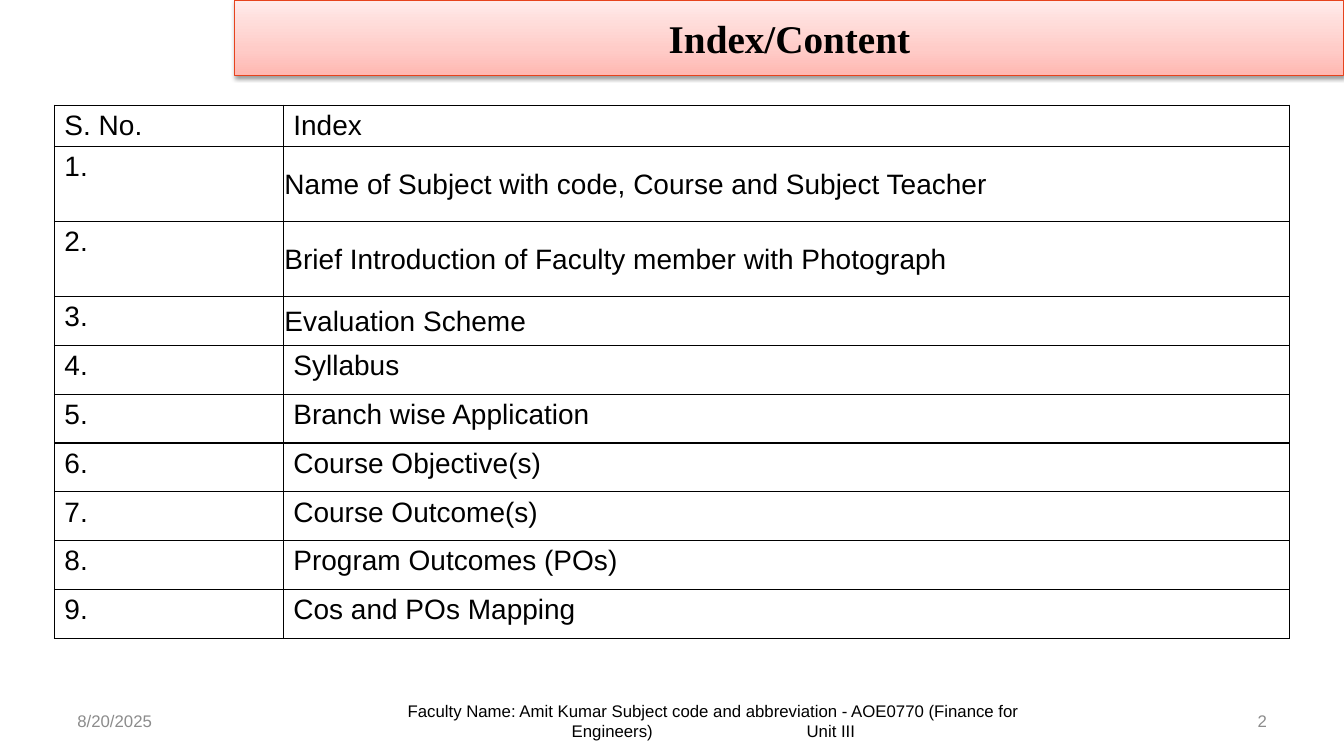
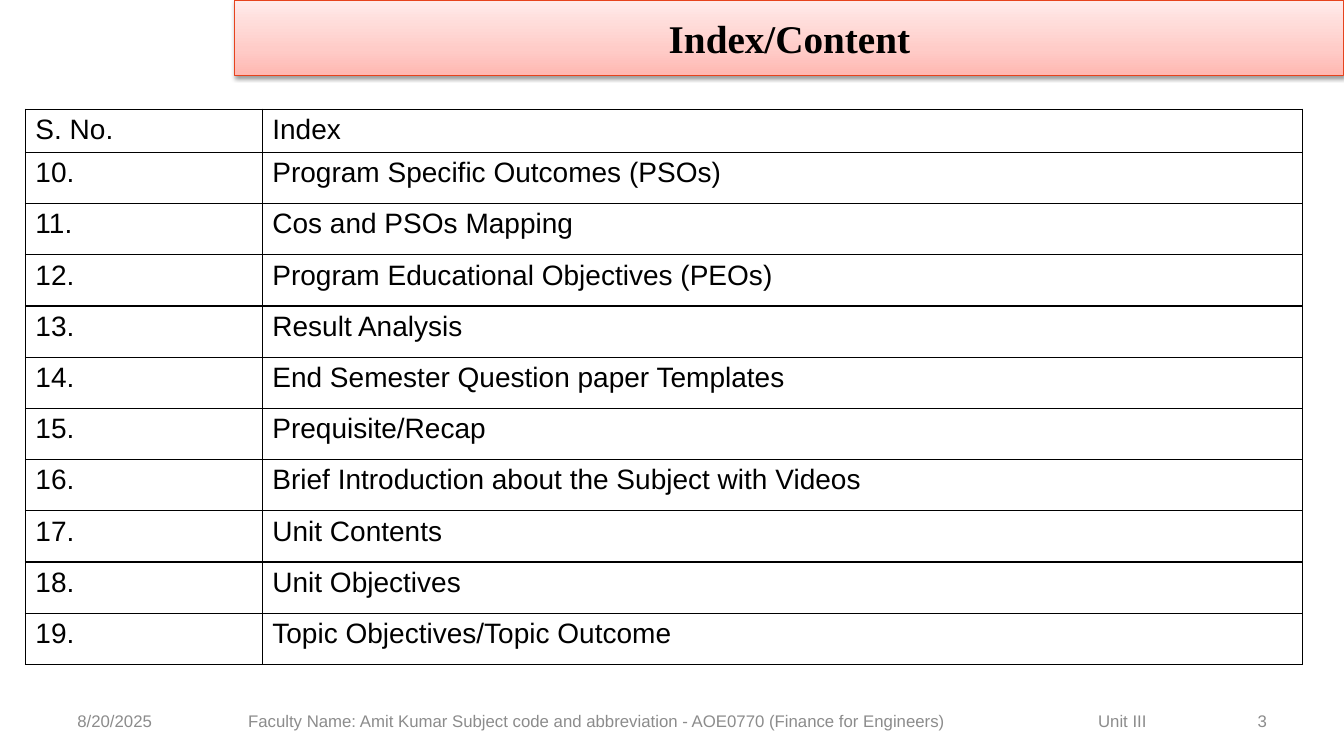
from dataclasses import dataclass

from lxml import etree
from pptx import Presentation
from pptx import util as u
from pptx.dml.color import RGBColor
from pptx.enum import text
from pptx.oxml import parse_xml
from pptx.oxml.ns import nsdecls, qn

Cm, Pt = u.Cm, u.Pt


@dataclass(frozen=True)
class Theme:
    body_font: str = "Arial"
    title_font: str = "Times New Roman"
    title_size: float = 28
    table_size: float = 20
    footer_size: float = 12
    ink: str = "000000"
    muted: str = "8C8C8C"
    band_line: str = "E6431D"
    band_stops: tuple = ((0, "FFB7B1"), (35, "FFCCC8"), (100, "FFEBEA"))


@dataclass(frozen=True)
class Box:
    left: float
    top: float
    width: float
    height: float

    def lengths(self):
        return [Cm(side) for side in (self.left, self.top, self.width, self.height)]


THEME = Theme()
TITLE_BOX = Box(5.92, 0, 27.95, 1.91)
DATE_BOX = Box(1.7, 17.65, 7.9, 1.02)
NUMBER_BOX = Box(24.28, 17.65, 7.9, 1.02)
DATE = "8/20/2025"
COURSE = ("Faculty Name: Amit Kumar Subject code and abbreviation - "
          "AOE0770 (Finance for Engineers)")
UNIT = "Unit III"
HEADER = ("S. No.", "Index")


def style_font(para, size, color, name=THEME.body_font, bold=False):
    para.font.name = name
    para.font.size = Pt(size)
    para.font.bold = bold
    para.font.color.rgb = RGBColor.from_string(color)


def add_title_band(page, box, title):
    band = page.shapes.title
    band.left, band.top, band.width, band.height = box.lengths()
    band.text_frame.text = title
    band.text_frame.vertical_anchor = text.MSO_ANCHOR.MIDDLE
    para = band.text_frame.paragraphs[0]
    para.alignment = text.PP_ALIGN.CENTER
    style_font(para, THEME.title_size, THEME.ink, THEME.title_font, bold=True)

    stops = "".join(
        f'<a:gs pos="{place * 1000}"><a:srgbClr val="{color}"/></a:gs>'
        for place, color in THEME.band_stops)
    gradient = parse_xml(
        f'<a:gradFill {nsdecls("a")} rotWithShape="1"><a:gsLst>{stops}</a:gsLst>'
        '<a:lin ang="16200000" scaled="0"/></a:gradFill>')
    shadow = parse_xml(
        f'<a:effectLst {nsdecls("a")}><a:outerShdw blurRad="{Pt(3.1)}" '
        f'dist="{Pt(1.6)}" dir="5400000" rotWithShape="0"><a:srgbClr val="{THEME.ink}">'
        '<a:alpha val="38000"/></a:srgbClr></a:outerShdw></a:effectLst>')
    band.fill.gradient()
    properties = band.element.spPr
    properties.replace(properties.find(qn("a:gradFill")), gradient)
    band.line.color.rgb = RGBColor.from_string(THEME.band_line)
    band.line.width = Pt(0.75)
    properties.append(shadow)


def add_footer_box(page, box, align):
    """Add an empty footer box and return its paragraph."""
    frame = page.shapes.add_textbox(*box.lengths()).text_frame
    frame.word_wrap = True
    frame.vertical_anchor = text.MSO_ANCHOR.MIDDLE
    para = frame.paragraphs[0]
    para.alignment = align
    return para


def add_footer(page, number, course_box, unit_tab, course_color):
    """Place date, course line and page number; unit_tab is where the unit starts."""
    date = add_footer_box(page, DATE_BOX, text.PP_ALIGN.LEFT)
    date.text = DATE
    style_font(date, THEME.footer_size, THEME.muted)

    course = add_footer_box(page, course_box, text.PP_ALIGN.CENTER)
    course.text = f"{COURSE}\t{UNIT}"
    tabs = etree.SubElement(course._p.get_or_add_pPr(), qn("a:tabLst"))
    etree.SubElement(tabs, qn("a:tab"), pos=str(Cm(unit_tab)), algn="l")
    style_font(course, THEME.footer_size, course_color)

    page_number = add_footer_box(page, NUMBER_BOX, text.PP_ALIGN.RIGHT)
    page_number._p.append(parse_xml(
        f'<a:fld {nsdecls("a")} id="{{B6F15528-21DE-4FAA-801E-634DDDAF4B2B}}" '
        f'type="slidenum"><a:rPr lang="en-US"/><a:t>{number}</a:t></a:fld>'))
    style_font(page_number, THEME.footer_size, THEME.muted)


def set_borders(cell):
    properties = cell._tc.get_or_add_tcPr()
    for position, side in enumerate(("lnL", "lnR", "lnT", "lnB")):
        properties.insert(position, parse_xml(
            f'<a:{side} {nsdecls("a")} w="{Pt(1)}"><a:solidFill>'
            f'<a:srgbClr val="{THEME.ink}"/></a:solidFill></a:{side}>'))


def add_index_table(page, left, top, widths, heights, first, topics, tight_rows=()):
    """Number the topics from first; tight_rows have a centred topic without margins."""
    rows = [HEADER] + [(f"{n}.", topic) for n, topic in enumerate(topics, first)]
    box = Box(left, top, sum(widths), sum(heights))
    table = page.shapes.add_table(len(rows), len(widths), *box.lengths()).table
    table.first_row = table.horz_banding = False
    for column, width in zip(table.columns, widths):
        column.width = Cm(width)
    for r, (row, height) in enumerate(zip(rows, heights)):
        table.rows[r].height = Cm(height)
        for c, words in enumerate(row):
            cell = table.cell(r, c)
            cell.text = words
            cell.fill.background()
            set_borders(cell)
            style_font(cell.text_frame.paragraphs[0], THEME.table_size, THEME.ink)
        if r in tight_rows:
            cell.vertical_anchor = text.MSO_ANCHOR.MIDDLE
            cell.margin_left = cell.margin_right = cell.margin_top = Cm(0.03)
            cell.margin_bottom = 0


def add_index_page(deck, number, table, footer):
    page = deck.slides.add_slide(deck.slide_layouts[5])
    add_title_band(page, TITLE_BOX, "Index/Content")
    add_index_table(page, **table)
    add_footer(page, number, **footer)


def main():
    deck = Presentation()
    deck.slide_width, deck.slide_height = Cm(33.87), Cm(19.05)
    # Page numbers begin at 2.
    deck.element.set("firstSlideNum", "2")

    add_index_page(
        deck, 2,
        table=dict(
            left=1.37, top=2.65, widths=(5.77, 25.35),
            heights=[1.04] + [1.89] * 2 + [1.23] * 7, first=1, tight_rows=(1, 2, 3),
            topics=(
                "Name of Subject with code, Course and Subject Teacher",
                "Brief Introduction of Faculty member with Photograph",
                "Evaluation Scheme",
                "Syllabus",
                "Branch wise Application",
                "Course Objective(s)",
                "Course Outcome(s)",
                "Program Outcomes (POs)",
                "Cos and POs Mapping",
            )),
        footer=dict(course_box=Box(9.09, 17.65, 17.78, 1.02), unit_tab=5.92,
                    course_color=THEME.ink))
    add_index_page(
        deck, 3,
        table=dict(
            left=0.64, top=2.75, widths=(5.97, 26.21),
            heights=[1.09] + [1.29] * 10, first=10,
            topics=(
                "Program Specific Outcomes (PSOs)",
                "Cos and PSOs Mapping",
                "Program Educational Objectives (PEOs)",
                "Result Analysis",
                "End Semester Question paper Templates",
                "Prequisite/Recap",
                "Brief Introduction about the Subject with Videos",
                "Unit Contents",
                "Unit Objectives",
                "Topic Objectives/Topic Outcome",
            )),
        footer=dict(course_box=Box(5.51, 17.65, 24.13, 1.02), unit_tab=21.42,
                    course_color=THEME.muted))
    deck.save("out.pptx")


if __name__ == "__main__":
    main()
